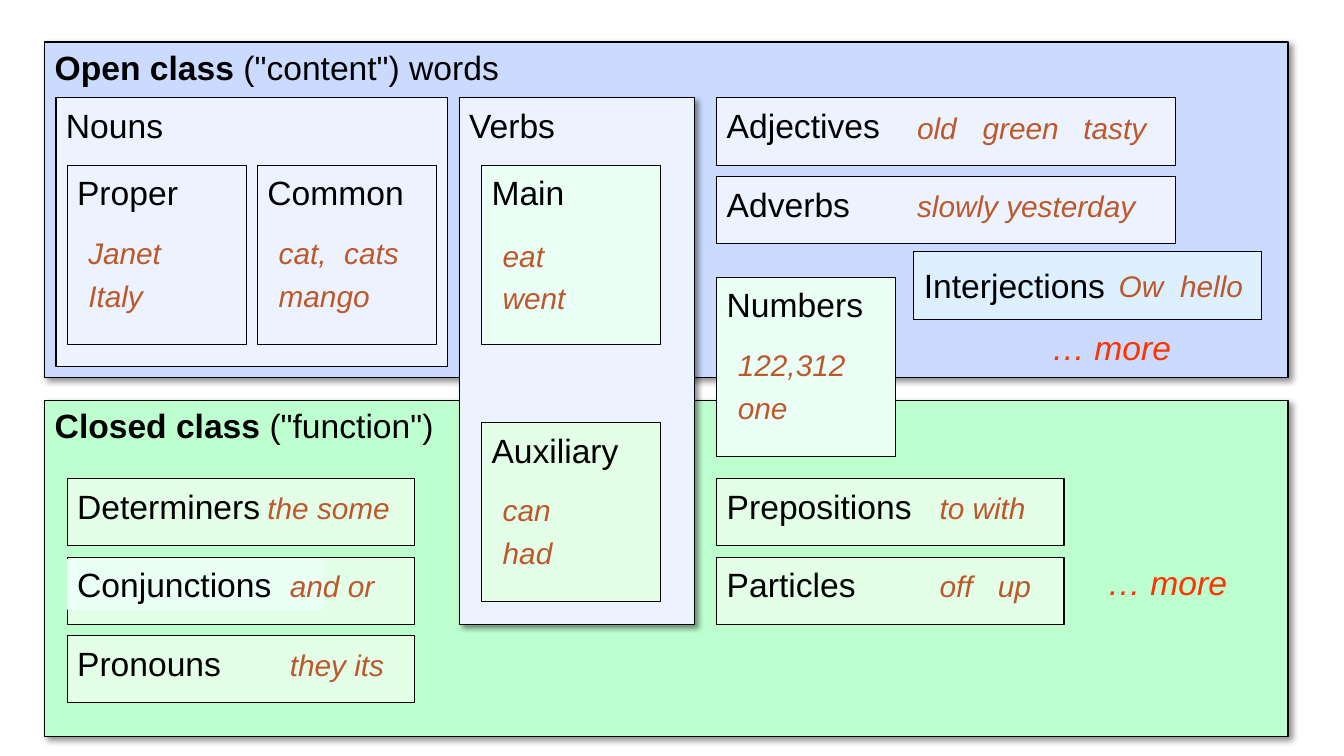
from pptx import Presentation
from pptx import util as u
from pptx.dml.color import RGBColor
from pptx.enum import shapes, text
from pptx.oxml import parse_xml
from pptx.oxml.ns import nsdecls

THEME = dict(
    font="Arial", label=24, sample=21.3,
    ink="000000", rust="BD582C", red="FF3300",
    blue="CADBFF", pale="ECF3FF", sky="DDF0FF",
    green="BDFFCF", leaf="E3FFE7", mint="EAFFF5",
)
COLS = 120           # grid columns over the slide's width
TOP = 3.75           # grid rows above the first panel
DROP = 0.2           # rows from a box's top to its label

deck = Presentation()
deck.slide_width, deck.slide_height = u.Inches(13.33), u.Inches(7.5)
slide = deck.slides.add_slide(deck.slide_layouts[6])
unit = deck.slide_width / COLS


def box(x, y, wide, high, fill=None, shadow=False):
    """Draw an outlined rectangle; the place is in grid columns and rows."""
    place = [round(n * unit) for n in (x, y + TOP, wide, high)]
    rect = slide.shapes.add_shape(shapes.MSO_SHAPE.RECTANGLE, *place)
    rect.shadow.inherit = False
    if fill:
        rect.fill.solid()
        rect.fill.fore_color.rgb = RGBColor.from_string(THEME[fill])
    else:
        rect.fill.background()
    rect.line.color.rgb = RGBColor.from_string(THEME["ink"])
    rect.line.width = u.Pt(0.75)
    if shadow:
        glow = rect._element.spPr.find(
            "{http://schemas.openxmlformats.org/drawingml/2006/main}effectLst")
        glow.append(parse_xml(
            f'<a:outerShdw {nsdecls("a")} blurRad="50800" dist="38100" '
            'dir="2700000" algn="tl" rotWithShape="0"><a:srgbClr val="000000">'
            '<a:alpha val="43000"/></a:srgbClr></a:outerShdw>'))
    return rect


def write(words, x=0, y=0, wide=23, high=4.5, *, host=None, lead="",
          size="label", color="ink", italic=False, fill=None, tabs=()):
    """Write lines into host, or into a new text box; tabs are in inches."""
    if host is None:
        place = [round(n * unit) for n in (x, y + TOP, wide, high)]
        host = slide.shapes.add_textbox(*place)
        host.text_frame.word_wrap = True
        host.text_frame.auto_size = text.MSO_AUTO_SIZE.SHAPE_TO_FIT_TEXT
    else:
        host.text_frame.word_wrap = False
        host.text_frame.vertical_anchor = text.MSO_ANCHOR.MIDDLE
    if fill:
        host.fill.solid()
        host.fill.fore_color.rgb = RGBColor.from_string(THEME[fill])
    frame = host.text_frame
    for row, line in enumerate(words.split("\n")):
        para = frame.add_paragraph() if row else frame.paragraphs[0]
        para.alignment = text.PP_ALIGN.LEFT
        if row:
            para.space_before = u.Pt(5)
        for part, bold in ((lead, True), (line, False)):
            if not part:
                continue
            run = para.add_run()
            run.text = part
            run.font.name = THEME["font"]
            run.font.size = u.Pt(THEME[size])
            run.font.bold, run.font.italic = bold, italic
            run.font.color.rgb = RGBColor.from_string(THEME[color])
        if tabs and "\t" in line:
            stops = "".join(f'<a:tab pos="{u.Inches(t)}" algn="l"/>' for t in tabs)
            para._p.get_or_add_pPr().append(
                parse_xml(f'<a:tabLst {nsdecls("a")}>{stops}</a:tabLst>'))


# Two panels
for y, fill in ((32, "green"), (0, "blue")):
    box(4, y, 111, 30, fill, shadow=True)
write('("content") words', 4, 0, 43, lead="Open class ")
write('("function")', 4, 32, 48, lead="Closed class ")

# Word classes: label, x, y, width, height, fill, shadow
classes = [
    ("Nouns", 5, 5, 35, 24, "pale", False),
    ("Verbs", 41, 5, 21, 47, "pale", True),
    ("Proper", 6, 11, 16, 16, None, False),
    ("Common", 23, 11, 16, 16, None, False),
    ("Auxiliary", 43, 34, 16, 16, "leaf", False),
    ("Main", 43, 11, 16, 16, "mint", False),
    ("Adjectives", 64, 5, 41, 6, "pale", False),
    ("Adverbs", 64, 12, 41, 6, "pale", False),
    ("Prepositions", 64, 39, 31, 6, "leaf", False),
    ("Particles", 64, 46, 31, 6, "leaf", False),
    ("Determiners", 6, 39, 31, 6, "leaf", False),
    ("Conjunctions", 6, 46, 31, 6, "leaf", False),
    ("Pronouns", 6, 53, 31, 6, "leaf", False),
    ("Numbers", 64, 21, 16, 16, "mint", False),
]
for name, x, y, wide, high, fill, shadow in classes:
    box(x, y, wide, high, fill, shadow)
    write(name, x, y + DROP, min(wide, 23),
          fill="mint" if name == "Conjunctions" else None)
write("Interjections", host=box(81.6, 18.75, 31, 6, "sky"))

for x, y, wide in ((93, 25, 19), (98, 46, 15)):
    write("… more", x, y, wide, color="red", italic=True)

# Sample words: text, x, y, width, tab stops
samples = [
    ("Janet\nItaly", 7, 16.75, 14, ()),
    ("cat,\tcats\nmango", 24, 16.75, 14, (0.65,)),
    ("eat\nwent", 44, 17, 15, ()),
    ("can\nhad", 44, 39.75, 15, ()),
    ("122,312\none", 65, 26.75, 15, ()),
    ("old\tgreen\ttasty", 81, 5.6, 26, (0.65, 1.65)),
    ("slowly yesterday", 81, 12.55, 24, ()),
    ("to with", 83, 39.55, 15, ()),
    ("off\tup", 83, 46.55, 15, (0.58,)),
    ("the some", 23, 39.55, 15, ()),
    ("and or", 25, 46.55, 15, ()),
    ("they its", 25, 53.55, 15, ()),
    ("Ow\thello", 99, 19.75, 15, (0.61,)),
]
for words, x, y, wide, tabs in samples:
    write(words, x, y, wide, 8 if "\n" in words else 4.1,
          size="sample", color="rust", italic=True, tabs=tabs)

deck.save("out.pptx")
